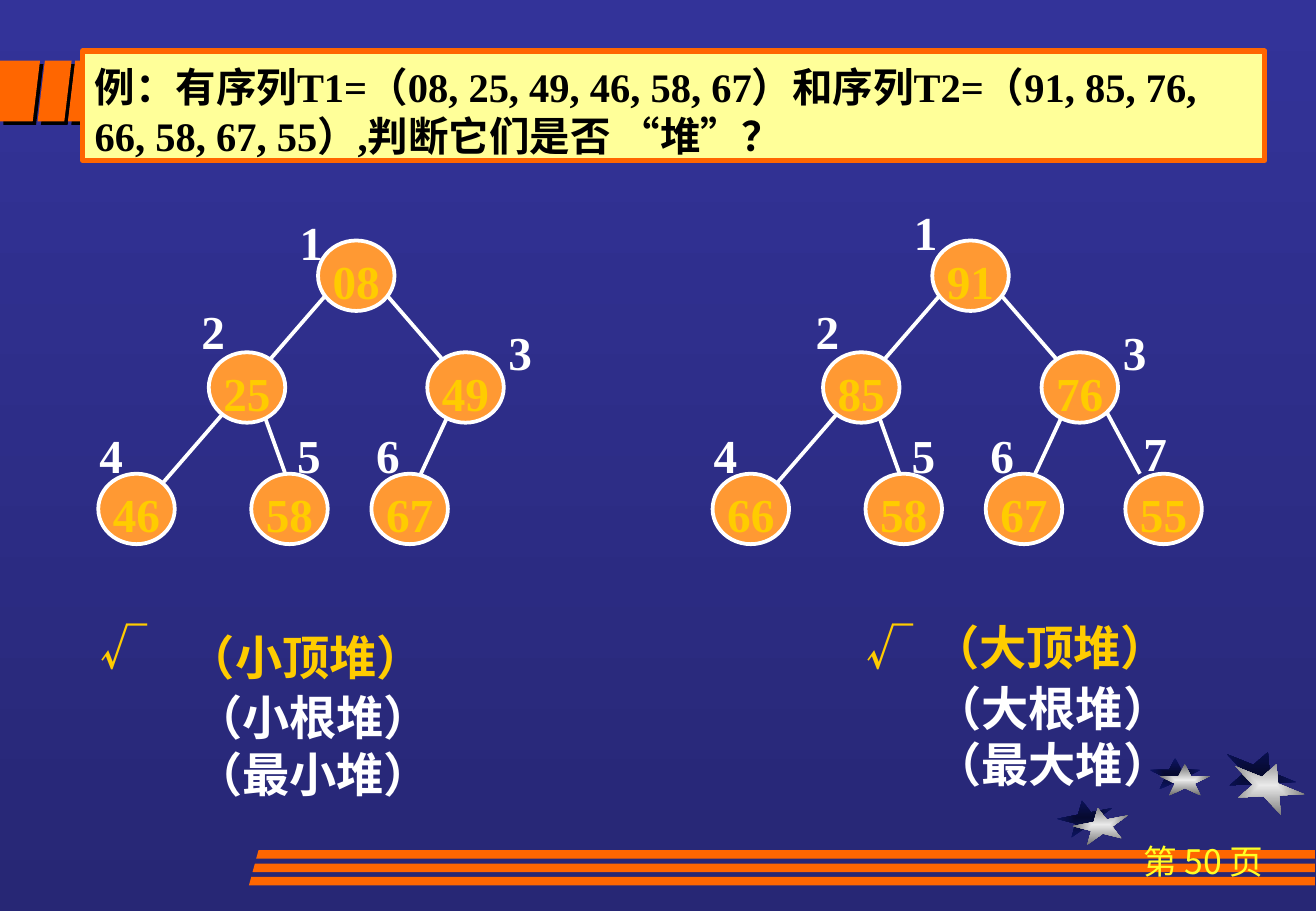
import pptx
import pptx.dml.color
import pptx.enum.dml
import pptx.enum.shapes
import pptx.enum.text
import pptx.oxml
import pptx.oxml.ns
import pptx.util
from dataclasses import dataclass
from lxml import etree

Inches = pptx.util.Inches
Pt = pptx.util.Pt
SHAPE = pptx.enum.shapes.MSO_SHAPE
ALIGN = pptx.enum.text.PP_ALIGN
ANCHOR = pptx.enum.text.MSO_ANCHOR
qn = pptx.oxml.ns.qn
NAMESPACE = pptx.oxml.ns.nsdecls("a")


@dataclass(frozen=True)
class Theme:
    sky_top: str = "333399"
    sky_bottom: str = "272775"
    orange: str = "FF6600"
    node: str = "FF9933"
    gold: str = "FFCC00"
    white: str = "FFFFFF"
    black: str = "000000"
    cream: str = "FFFF99"
    page: str = "FFFF25"
    dark_star: tuple = ("060A2F", "0D1565")
    silver_star: tuple = ("EAEAEA", "6C6C6C")
    latin: str = "Times New Roman"
    heading: str = "Arial"
    chinese: str = "Noto Sans CJK SC"
    body_size: int = 28
    title_size: int = 24
    page_size: int = 20


THEME = Theme()

NODE_SIZE = (0.63, 0.58)
NODE_PLACES = [(1.81, 0), (0.91, 0.92), (2.71, 0.92), (0, 1.92), (1.26, 1.92), (2.25, 1.92), (3.4, 1.92)]
NUMBER_PLACES = [(1.56, -0.31), (0.75, 0.42), (3.28, 0.59), (-0.09, 1.44), (1.54, 1.44), (2.19, 1.44), (3.45, 1.42)]
EDGES = [
    (1.9, 0.42, 0.45, 2.09),
    (2.35, 0.42, 3.07, 1.25),
    (1.36, 1.42, 1.54, 1.92),
    (2.89, 1.42, 2.62, 2),
    (3.25, 1.42, 3.52, 1.92),
]


def color(value):
    return pptx.dml.color.RGBColor.from_string(value)


def paint(shape, fill, line=None, width=0):
    shape.shadow.inherit = False
    shape.fill.solid()
    shape.fill.fore_color.rgb = color(fill)
    if line:
        shape.line.color.rgb = color(line)
        shape.line.width = Pt(width)
    else:
        shape.line.fill.background()


def add_run(paragraph, text, font_name, size, text_color, bold=True):
    run = paragraph.add_run()
    run.text = text
    formats = {"name": font_name, "size": Pt(size), "bold": bold}
    for name, value in formats.items():
        setattr(run.font, name, value)
    run.font.color.rgb = color(text_color)
    east_asian = etree.SubElement(run.font._element, qn("a:ea"))
    east_asian.set("typeface", THEME.chinese)


def format_frame(frame, top=0.09, wrap=False, anchor=ANCHOR.TOP):
    formats = {
        "margin_left": Inches(0.1), "margin_right": Inches(0.1),
        "margin_top": Inches(top), "margin_bottom": Inches(0.05),
        "auto_size": pptx.enum.text.MSO_AUTO_SIZE.NONE,
        "word_wrap": wrap, "vertical_anchor": anchor,
    }
    for name, value in formats.items():
        setattr(frame, name, value)


def add_text(slide, box, lines, font_name, size, text_color, bold=True, align=ALIGN.LEFT):
    frame = slide.shapes.add_textbox(*map(Inches, box)).text_frame
    format_frame(frame)
    for index, line in enumerate(lines):
        paragraph = frame.add_paragraph() if index else frame.paragraphs[0]
        paragraph.alignment = align
        paragraph.line_spacing = Pt(round(size * 1.2, 1))
        add_run(paragraph, line, font_name, size, text_color, bold)


def add_outline(slide, points, fill):
    corners = [(Inches(x), Inches(y)) for x, y in points]
    builder = slide.shapes.build_freeform(*corners[0], scale=1.0)
    builder.add_line_segments(corners[1:], close=True)
    shape = builder.convert_to_shape()
    paint(shape, fill)
    return shape


def draw_background(slide):
    fill = slide.background.fill
    fill.gradient()
    fill.gradient_angle = 270
    for stop, value in zip(fill.gradient_stops, (THEME.sky_top, THEME.sky_bottom)):
        stop.color.rgb = color(value)


def draw_star(slide, box, rotation, colors):
    star = slide.shapes.add_shape(SHAPE.STAR_5_POINT, *map(Inches, box))
    paint(star, colors[0])
    star.rotation = rotation
    solid = star._element.spPr.find(qn("a:solidFill"))
    stops = "".join(
        f'<a:gs pos="{position}"><a:srgbClr val="{value}"/></a:gs>'
        for position, value in zip((0, 100000), colors)
    )
    gradient = pptx.oxml.parse_xml(
        f'<a:gradFill {NAMESPACE} rotWithShape="1"><a:gsLst>{stops}</a:gsLst><a:path path="rect">'
        '<a:fillToRect l="50000" t="50000" r="50000" b="50000"/></a:path></a:gradFill>'
    )
    solid.getparent().replace(solid, gradient)


def draw_stars(slide):
    stars = [
        ((8.71, 6.59, 0.46, 0.28), 349, (0.13, 0.06)),
        ((9.47, 6.24, 0.42, 0.26), 0, (0.08, 0.05)),
        ((10.07, 6.18, 0.61, 0.37), 22, (0.07, 0.1)),
    ]
    for box, rotation, shift in stars:
        draw_star(slide, box, rotation, THEME.dark_star)
    for (left, top, width, height), rotation, (right, down) in stars:
        draw_star(slide, (left + right, top + down, width, height), rotation, THEME.silver_star)


def draw_title_blocks(slide, top, bottom):
    slant = 0.06
    blocks = [(0, 0.33, 0)] + [
        (left, left + width, left - slant)
        for left, width in ((0.37, 0.22), (0.62, 0.17), (0.82, 0.11), (0.95, 0.06))
    ]
    for left, right, bottom_left in blocks:
        points = [(left, top), (right, top), (right - slant, bottom), (bottom_left, bottom)]
        block = add_outline(slide, points, THEME.orange)
        effects = block._element.spPr.find(qn("a:effectLst"))
        effects.append(pptx.oxml.parse_xml(
            f'<a:outerShdw {NAMESPACE} dist="35560" dir="2700000" algn="ctr" rotWithShape="0">'
            f'<a:srgbClr val="{THEME.black}"/></a:outerShdw>'
        ))


def draw_footer(slide, left, top, right):
    for row in range(3):
        start, upper = left - 0.03 * row, top + 0.11 * row
        lower = upper + 0.07
        points = [(start, lower), (right, lower), (right, upper), (start + 0.02, upper)]
        add_outline(slide, points, THEME.orange)
    add_text(slide, (9, 6.83, 1.83, 0.6), ["第 50 页"], THEME.chinese, THEME.page_size,
             THEME.page, False, ALIGN.CENTER)


def draw_title(slide, box):
    title = slide.shapes.title
    for name, value in zip(("left", "top", "width", "height"), box):
        setattr(title, name, Inches(value))
    paint(title, THEME.cream, THEME.orange, 3)
    format_frame(title.text_frame, wrap=True)
    paragraph = title.text_frame.paragraphs[0]
    paragraph.alignment = ALIGN.LEFT
    paragraph.line_spacing = Pt(28.8)
    add_run(paragraph, "例：", THEME.heading, THEME.title_size, THEME.black)
    question = "有序列T1=（08, 25, 49, 46, 58, 67）和序列T2=（91, 85, 76, 66, 58, 67, 55）,判断它们是否 “堆”？"
    add_run(paragraph, question, THEME.latin, THEME.title_size, THEME.black)
    slide.shapes._spTree.append(title._element)


def draw_tree(slide, left, top, values, root_number_shift=0):
    for x1, y1, x2, y2 in EDGES[:len(values) - 2]:
        edge = slide.shapes.add_connector(
            pptx.enum.shapes.MSO_CONNECTOR.STRAIGHT,
            *map(Inches, (left + x1, top + y1, left + x2, top + y2)))
        edge.line.color.rgb = color(THEME.white)
        edge.line.width = Pt(2.25)
        etree.SubElement(edge._element.spPr, qn("a:effectLst"))
    for value, (x, y) in zip(values, NODE_PLACES):
        node = slide.shapes.add_shape(SHAPE.OVAL, *map(Inches, (left + x, top + y, *NODE_SIZE)))
        paint(node, THEME.node, THEME.white, 2.25)
        format_frame(node.text_frame, top=0.13, anchor=ANCHOR.MIDDLE)
        paragraph = node.text_frame.paragraphs[0]
        paragraph.alignment = ALIGN.CENTER
        add_run(paragraph, value, THEME.latin, THEME.body_size, THEME.gold)
    for number, (x, y) in enumerate(NUMBER_PLACES[:len(values)], 1):
        shift = root_number_shift if number == 1 else 0
        add_text(slide, (left + x, top + y + shift, 0.39, 0.57), [str(number)],
                 THEME.latin, THEME.body_size, THEME.white)


def draw_verdict(slide, check_left, name_left, other_left, top, name, others):
    parts = [
        ((check_left, 5, 0.59, 0.57), ["√"], THEME.gold),
        ((name_left, top, 2.14, 0.57), [name], THEME.gold),
        ((other_left, top + 0.5, 2.14, 1.04), others, THEME.white),
    ]
    for box, lines, text_color in parts:
        add_text(slide, box, lines, THEME.chinese, THEME.body_size, text_color)


def main():
    presentation = pptx.Presentation()
    presentation.slide_width = Inches(10.84)
    presentation.slide_height = Inches(7.5)
    slide = presentation.slides.add_slide(presentation.slide_layouts[5])
    draw_background(slide)
    draw_stars(slide)
    draw_title_blocks(slide, 0.5, 1)
    draw_footer(slide, 2.11, 7, 10.83)
    draw_tree(slide, 0.81, 1.98, ["08", "25", "49", "46", "58", "67"])
    draw_tree(slide, 5.87, 1.98, ["91", "85", "76", "66", "58", "67", "55"], -0.09)
    draw_verdict(slide, 0.73, 1.45, 1.51, 5.08, "（小顶堆）", ["（小根堆）", "（最小堆）"])
    draw_verdict(slide, 7.04, 7.58, 7.6, 5, "（大顶堆）", ["（大根堆）", "（最大堆）"])
    draw_title(slide, (0.68, 0.42, 9.74, 0.9))
    presentation.save("out.pptx")


if __name__ == "__main__":
    main()
